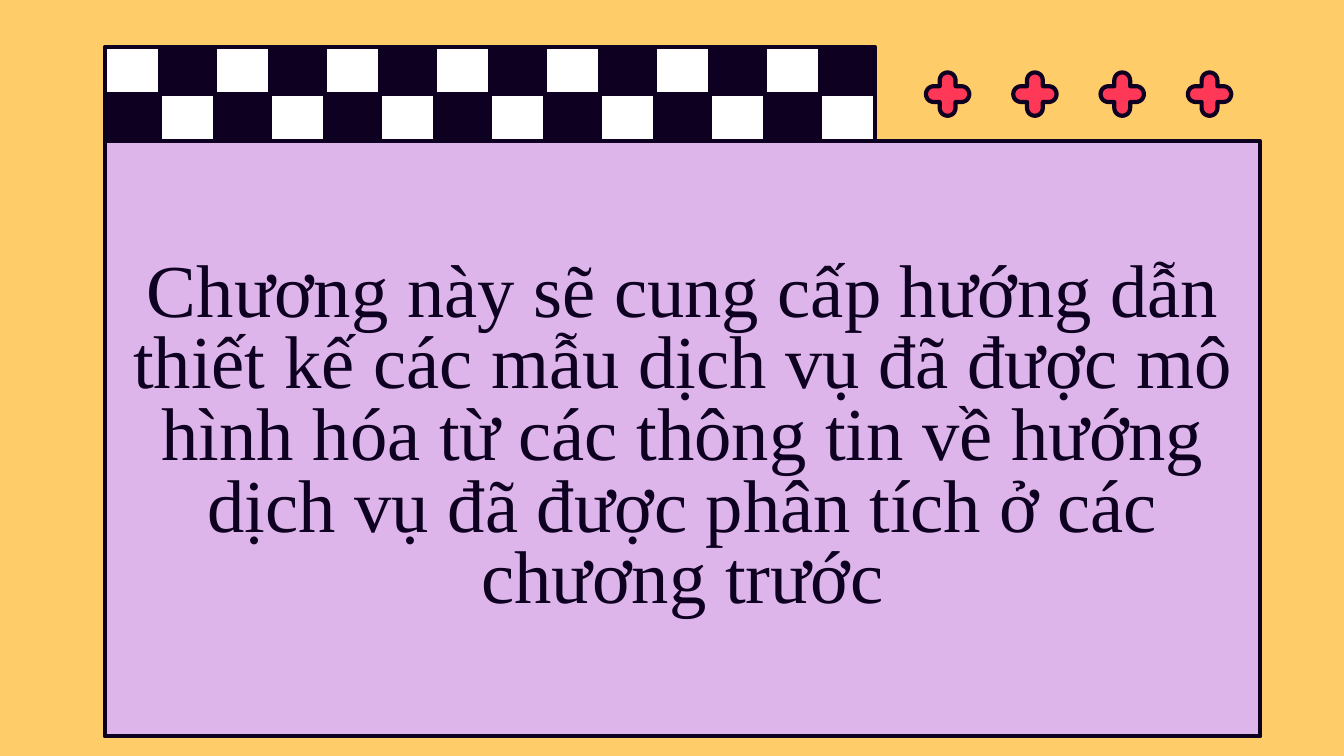
"""Build a slide with a framed statement, a checkered strip and a row of plus signs."""
from dataclasses import dataclass
from math import cos, pi, sin

from pptx import Presentation
from pptx.dml.color import RGBColor
from pptx.enum.shapes import MSO_SHAPE
from pptx.enum.text import MSO_ANCHOR, MSO_AUTO_SIZE, PP_ALIGN
from pptx.shapes.autoshape import Shape
from pptx.shapes.shapetree import GroupShapes, SlideShapes
from pptx.util import Cm, Pt

COLORS = {
    "background": "FFCC6A",
    "panel": "DEB5EB",
    "ink": "0E0020",
    "white": "FFFFFF",
    "plus": "FF3858",
}
STATEMENT = (
    "Chương này sẽ cung cấp hướng dẫn thiết kế các mẫu dịch vụ đã được mô hình hóa "
    "từ các thông tin về hướng dịch vụ đã được phân tích ở các chương trước"
)
PANEL_BOX = {"left": Cm(1.98), "top": Cm(2.67), "width": Cm(21.84), "height": Cm(11.25)}
FRAME_FORMAT = {
    "word_wrap": True,
    "auto_size": MSO_AUTO_SIZE.NONE,
    "vertical_anchor": MSO_ANCHOR.MIDDLE,
    "margin_left": Cm(0.25),
    "margin_right": Cm(0.25),
    "margin_top": Cm(0.25),
    "margin_bottom": Cm(0.25),
}
PARAGRAPH_FORMAT = {"alignment": PP_ALIGN.CENTER, "line_spacing": 0.8, "space_before": Pt(0)}
FONT_FORMAT = {"name": "Times New Roman", "size": Pt(40), "bold": False}
CHECKER_ROWS, CHECKER_COLUMNS = 2, 14
PLUS_COUNT, PLUS_STEP = 4, 1.65
CAP_STEPS = 12


@dataclass
class Tile:
    """A checker tile, in centimetres."""

    left: float
    top: float
    color: str
    width: float = 1.04
    height: float = 0.89


@dataclass
class Plus:
    """A plus sign with round ends, in centimetres."""

    center_x: float
    center_y: float = 1.78
    arm: float = 0.41
    radius: float = 0.15


def set_attributes(target: object, values: dict) -> None:
    """Set each named attribute on the target."""
    for name, value in values.items():
        setattr(target, name, value)


def paint(shape: Shape, color: str) -> None:
    """Give a shape its fill and the shared dark outline."""
    shape.fill.solid()
    shape.fill.fore_color.rgb = RGBColor.from_string(COLORS[color])
    shape.line.color.rgb = RGBColor.from_string(COLORS["ink"])
    shape.line.width = Pt(2.25)
    shape.shadow.inherit = False


def fill_title(title: Shape) -> None:
    """Turn the title placeholder into the framed statement."""
    set_attributes(title, PANEL_BOX)
    paint(title, "panel")
    set_attributes(title.text_frame, FRAME_FORMAT)
    paragraph = title.text_frame.paragraphs[0]
    set_attributes(paragraph, PARAGRAPH_FORMAT)
    run = paragraph.add_run()
    run.text = STATEMENT
    set_attributes(run.font, FONT_FORMAT)
    run.font.color.rgb = RGBColor.from_string(COLORS["ink"])


def draw_tile(shapes: GroupShapes, tile: Tile) -> None:
    """Draw one checker tile."""
    shape = shapes.add_shape(
        MSO_SHAPE.RECTANGLE, Cm(tile.left), Cm(tile.top), Cm(tile.width), Cm(tile.height)
    )
    paint(shape, tile.color)


def plus_outline(plus: Plus) -> list[tuple[int, int]]:
    """Return the outline: a round cap and an inner corner per quarter turn."""
    reach = plus.arm + 0.0
    cap_center = reach + plus.radius - 2 * plus.radius
    points = []
    for quarter in range(4):
        turn = quarter * pi / 2
        arm = []
        for step in range(CAP_STEPS + 1):
            angle = -pi / 2 + pi * step / CAP_STEPS
            arm.append((cap_center + plus.radius * cos(angle), plus.radius * sin(angle)))
        arm.append((plus.radius, plus.radius))
        for x, y in arm:
            points.append((
                Cm(plus.center_x + x * cos(turn) - y * sin(turn)),
                Cm(plus.center_y + x * sin(turn) + y * cos(turn)),
            ))
    return points


def draw_plus(shapes: SlideShapes, plus: Plus) -> None:
    """Draw one plus sign."""
    start, *rest = plus_outline(plus)
    builder = shapes.build_freeform(*start)
    builder.add_line_segments(rest, close=True)
    paint(builder.convert_to_shape(), "plus")


def main() -> None:
    """Build and save the slide."""
    presentation = Presentation()
    presentation.slide_width, presentation.slide_height = Cm(25.4), Cm(14.29)
    slide = presentation.slides.add_slide(presentation.slide_layouts[5])
    slide.background.fill.solid()
    slide.background.fill.fore_color.rgb = RGBColor.from_string(COLORS["background"])
    fill_title(slide.shapes.title)

    checker = slide.shapes.add_group_shape()
    for row in range(CHECKER_ROWS):
        for column in range(CHECKER_COLUMNS):
            color = "ink" if (row + column) % 2 else "white"
            tile = Tile(1.98 + column * Tile.width, 0.89 + row * Tile.height, color)
            draw_tile(checker.shapes, tile)

    for index in range(PLUS_COUNT):
        draw_plus(slide.shapes, Plus(17.91 + index * PLUS_STEP))

    presentation.save("out.pptx")


if __name__ == "__main__":
    main()
